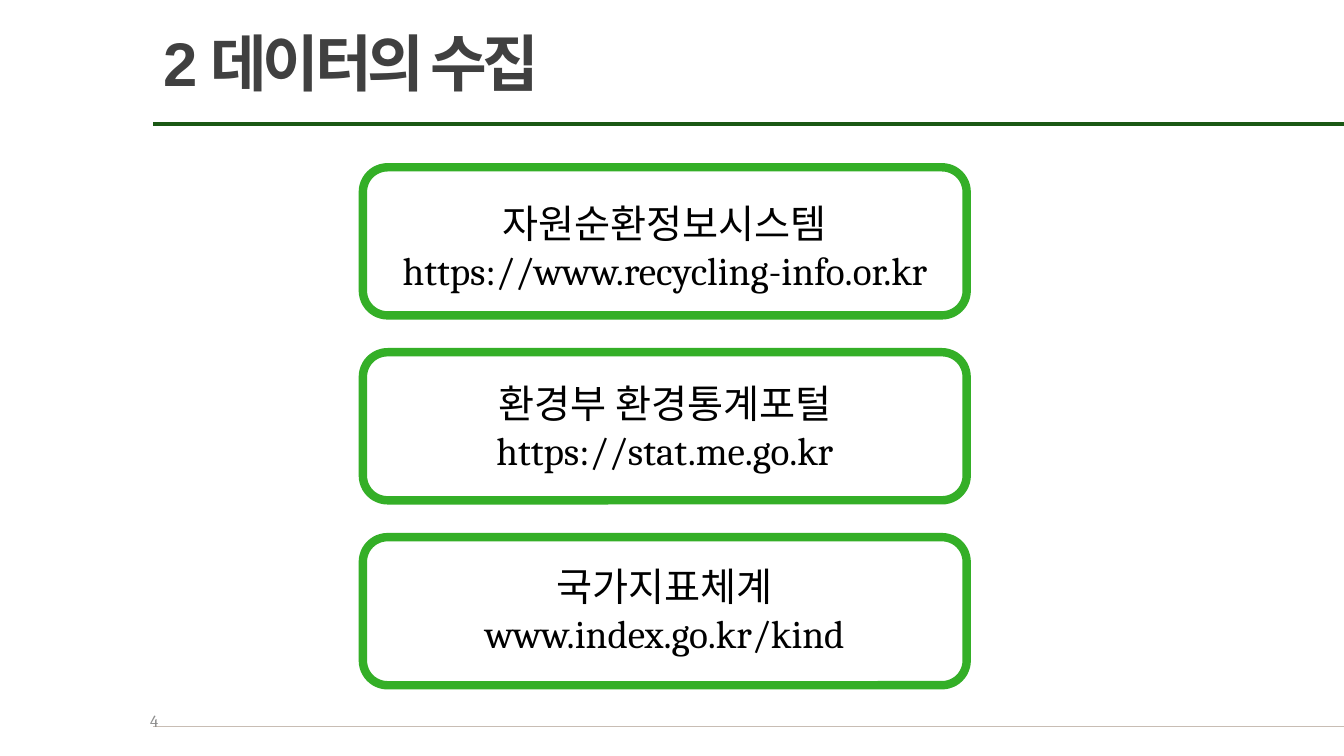
from dataclasses import dataclass

from lxml.etree import SubElement
from pptx import Presentation
from pptx.dml.color import RGBColor as RGB
from pptx.enum.shapes import MSO_CONNECTOR as CONN, MSO_SHAPE as SHAPE
from pptx.enum.text import MSO_ANCHOR as ANCHOR, PP_ALIGN as ALIGN
from pptx.oxml.ns import qn
from pptx.util import Pt


@dataclass(frozen=True)
class Theme:
    title_color: RGB = RGB(0x40, 0x40, 0x40)
    title_rule: RGB = RGB(0x1A, 0x58, 0x14)
    footer_rule: RGB = RGB(0xC8, 0xBD, 0xB4)
    card_line: RGB = RGB(0x34, 0xAF, 0x27)
    text: RGB = RGB(0, 0, 0)
    page_number: RGB = RGB(0x8C, 0x8C, 0x8C)
    title_font: str = "Arial"
    body_font: str = "Cambria"
    title_size: int = 44
    body_size: int = 28
    page_size: int = 12


THEME = Theme()
SLIDE_W, SLIDE_H = 960, 540
MARGIN = 109.4

# Name, address and the text's distance from the card's top
SOURCES = [
    ("자원순환정보시스템", "https://www.recycling-info.or.kr", 19.4),
    ("환경부 환경통계포털", "https://stat.me.go.kr", 15.8),
    ("국가지표체계", "www.index.go.kr/kind", 14.4),
]


def add_text(slide, box, lines, font, size, color, align=ALIGN.LEFT,
             bold=False, wrap=True, anchor=ANCHOR.TOP):
    tf = slide.shapes.add_textbox(*map(Pt, box)).text_frame
    tf.word_wrap = wrap
    tf.vertical_anchor = anchor
    for i, line in enumerate(lines):
        p = tf.add_paragraph() if i else tf.paragraphs[0]
        p.text = line
        p.alignment = align
        p.font.name, p.font.size, p.font.bold = font, Pt(size), bold
        p.font.color.rgb = color
    return tf


def add_rule(slide, y, color, width):
    rule = slide.shapes.add_connector(
        CONN.STRAIGHT, Pt(MARGIN), Pt(y), Pt(SLIDE_W), Pt(y))
    rule.line.color.rgb = color
    rule.line.width = Pt(width)
    SubElement(rule._element.spPr, qn("a:effectLst"))


def add_header(slide, box, title):
    x, y, w, h = box
    add_rule(slide, y + h, THEME.title_rule, 2.25)
    tf = add_text(slide, (x, y + 14.4, w, 60.5), [title], THEME.title_font,
                  THEME.title_size, THEME.title_color, bold=True, wrap=False)
    # Tight letter spacing, in hundredths of a point
    tf.paragraphs[0].runs[0].font._element.set("spc", "-300")


def add_source_card(slide, box, name, address, text_offset):
    x, y, w, h = box
    add_text(slide, (x, y + text_offset, w, 75), [name, address],
             THEME.body_font, THEME.body_size, THEME.text, ALIGN.CENTER)
    sp = slide.shapes.add_shape(SHAPE.ROUNDED_RECTANGLE, *map(Pt, box))
    sp.shadow.inherit = False
    sp.fill.background()
    sp.line.color.rgb = THEME.card_line
    sp.line.width = Pt(6)


def add_source_cards(slide, box, sources, gap=26.3):
    x, y, w, h = box
    card_h = (h - gap * (len(sources) - 1)) / len(sources)
    for i, source in enumerate(sources):
        top = y + i * (card_h + gap)
        add_source_card(slide, (x, top, w, card_h), *source)


def add_footer(slide, box, number):
    x, y, w, h = box
    add_rule(slide, y + 18.7, THEME.footer_rule, 0.5)
    add_text(slide, box, [number], THEME.body_font, THEME.page_size,
             THEME.page_number, ALIGN.RIGHT, anchor=ANCHOR.MIDDLE)


def main():
    prs = Presentation()
    prs.slide_width, prs.slide_height = Pt(SLIDE_W), Pt(SLIDE_H)
    slide = prs.slides.add_slide(prs.slide_layouts[6])
    add_footer(slide, (12.2, 500.4, 108, 28.8), "4")
    add_header(slide, (MARGIN, 0, 311, 88.6), "2 데이터의 수집")
    add_source_cards(slide, (259.2, 119.5, 431.3, 370), SOURCES)
    prs.save("out.pptx")


if __name__ == "__main__":
    main()
